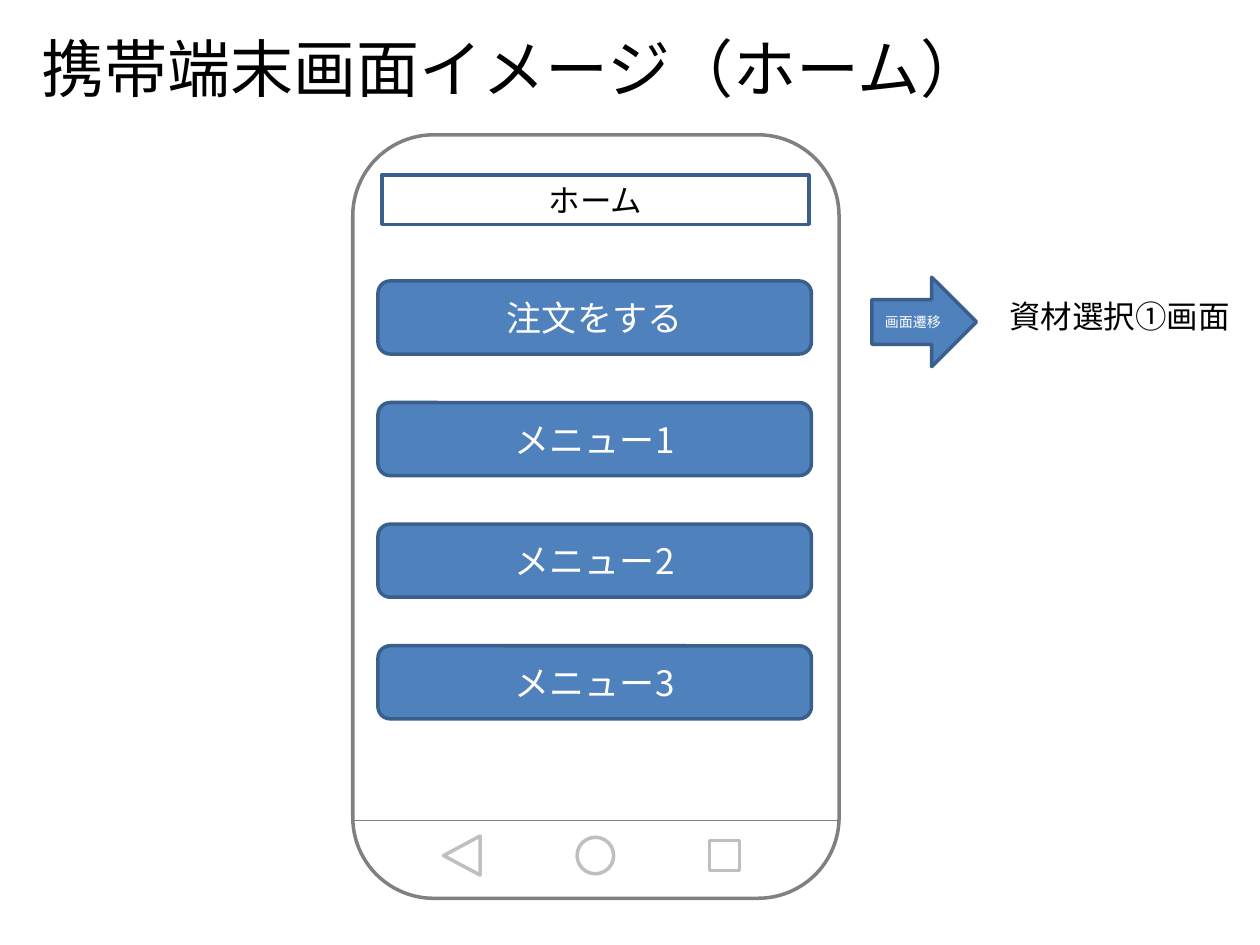
from dataclasses import dataclass

from lxml.etree import SubElement
from pptx import Presentation
from pptx.dml.color import RGBColor
from pptx.enum.shapes import MSO_CONNECTOR, MSO_SHAPE
from pptx.enum.text import MSO_ANCHOR, PP_ALIGN
from pptx.oxml.ns import qn
from pptx.util import Inches, Pt


@dataclass(frozen=True)
class Theme:
    blue: str = "4F81BD"
    navy: str = "3A5F8C"
    gray: str = "808080"
    pale: str = "BFBFBF"
    white: str = "FFFFFF"
    black: str = "000000"
    latin: str = "Calibri"
    asian: str = "Noto Sans CJK JP"
    title: int = 36
    menu: int = 20
    label: int = 18
    small: int = 8
    thick: float = 2
    thin: float = 0.75


THEME = Theme()
COLS, ROWS = 100, 75


def write(frame, text, size=THEME.label, color=THEME.black, font=THEME.asian,
          align=PP_ALIGN.LEFT, inset=0.1):
    frame.word_wrap = True
    frame.vertical_anchor = MSO_ANCHOR.MIDDLE
    frame.margin_left = frame.margin_right = Inches(inset)
    part = frame.paragraphs[0]
    part.alignment = align
    run = part.add_run()
    run.text = text
    run.font.size = Pt(size)
    run.font.name = font
    run.font.color.rgb = RGBColor.from_string(color)
    SubElement(run.font._element, qn("a:ea"), typeface=THEME.asian)


class Sketch:
    """Draws on one slide; every box is (column, row, columns, rows)."""

    def __init__(self, deck, theme):
        self.theme = theme
        self.col = deck.slide_width / COLS
        self.row = deck.slide_height / ROWS
        self.shapes = deck.slides.add_slide(deck.slide_layouts[6]).shapes

    def place(self, box):
        units = (self.col, self.row) * 2
        return [round(n * unit) for n, unit in zip(box, units)]

    def text(self, box, text, **style):
        write(self.shapes.add_textbox(*self.place(box)).text_frame, text, **style)

    def shape(self, kind, box, line, fill=None, turn=0, text="", **style):
        item = self.shapes.add_shape(kind, *self.place(box))
        item.shadow.inherit = False
        item.rotation = turn
        item.line.color.rgb = RGBColor.from_string(line)
        item.line.width = Pt(self.theme.thick)
        if fill:
            item.fill.solid()
            item.fill.fore_color.rgb = RGBColor.from_string(fill)
        else:
            item.fill.background()
        if text:
            write(item.text_frame, text, align=PP_ALIGN.CENTER, inset=0, **style)

    def rule(self, ends, color):
        item = self.shapes.add_connector(MSO_CONNECTOR.STRAIGHT, *self.place(ends))
        item.line.color.rgb = RGBColor.from_string(color)
        item.line.width = Pt(self.theme.thin)
        SubElement(item._element.spPr, qn("a:effectLst"))


def main():
    deck = Presentation()
    deck.slide_width, deck.slide_height = Inches(10), Inches(7.5)
    page = Sketch(deck, THEME)

    # Title
    page.text((2.3, 1.4, 90, 7.9), "携帯端末画面イメージ（ホーム）",
              size=THEME.title, font=THEME.latin)

    # Screen change
    page.shape(MSO_SHAPE.RIGHT_ARROW, (69.2, 22, 8.3, 7.1), THEME.navy, THEME.blue,
               text="画面遷移", size=THEME.small, color=THEME.white)
    page.text((79.1, 23.1, 20.5, 3.9), "資材選択①画面")

    # Phone body and header
    left, wide = 28, 38.6
    page.shape(MSO_SHAPE.ROUNDED_RECTANGLE, (left, 10.7, wide, 60.6), THEME.gray)
    page.shape(MSO_SHAPE.RECTANGLE, (30.3, 13.9, 33.9, 3.9), THEME.navy,
               THEME.white, text="ホーム")

    # Menu buttons
    first, step = 22.3, 9.65
    for i, name in enumerate(("注文をする", "メニュー1", "メニュー2", "メニュー3")):
        page.shape(MSO_SHAPE.ROUNDED_RECTANGLE, (30, first + i * step, 34.4, 5.8),
                   THEME.navy, THEME.blue, text=name, size=THEME.menu,
                   color=THEME.white)

    # Key bar: back, home and recent keys
    page.rule((left, 65.1, left + wide, 65.1), THEME.gray)
    middle = 67.9
    keys = ((MSO_SHAPE.ISOSCELES_TRIANGLE, 36.65, 3.1, 2.9, 270),
            (MSO_SHAPE.FLOWCHART_CONNECTOR, 47.25, 2.9, 2.9, 0),
            (MSO_SHAPE.RECTANGLE, 57.5, 2.4, 2.4, 0))
    for kind, mid, width, height, turn in keys:
        page.shape(kind, (mid - width / 2, middle - height / 2, width, height),
                   THEME.pale, turn=turn)

    deck.save("out.pptx")


if __name__ == "__main__":
    main()
